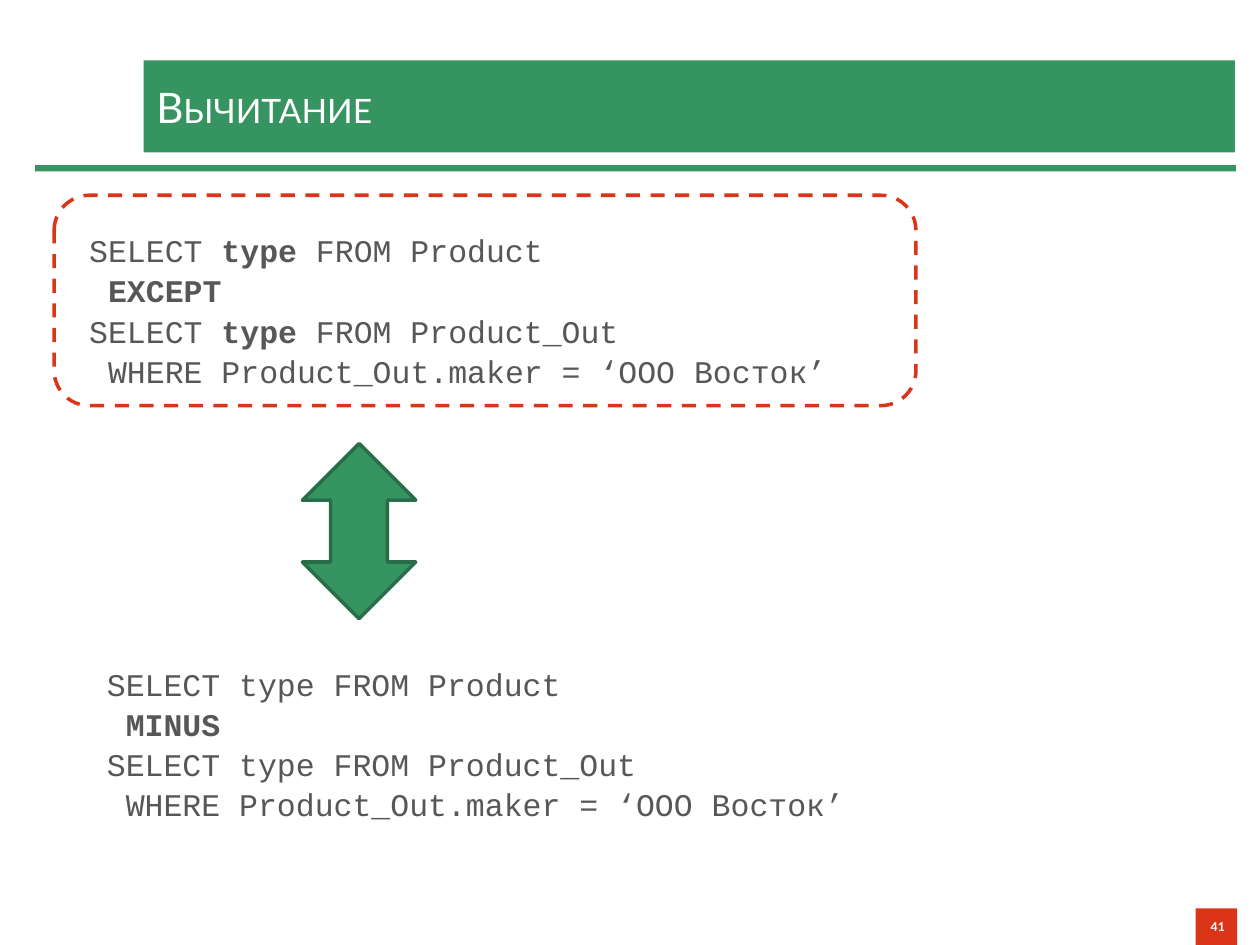
from pptx import Presentation
from pptx.dml.color import RGBColor
from pptx.enum.dml import MSO_LINE
from pptx.enum.shapes import MSO_SHAPE
from pptx.enum.text import MSO_ANCHOR, PP_ALIGN
from pptx.util import Inches, Pt

GREEN, EDGE, RED, WHITE, GREY = "369461", "286D48", "DB3519", "FFFFFF", "575756"
HEAD = {"name": "Lato", "size": Pt(24), "bold": False, "color": WHITE}
PAGE = {"name": "Lato", "size": Pt(7), "bold": True, "color": WHITE}
CODE = {"name": "Courier New", "size": Pt(18), "color": GREY}


def tint(code):
    """Turn a hex string into a colour."""
    return RGBColor.from_string(code)


def style(font, look):
    """Set the font attributes listed in a dict."""
    for key, val in look.items():
        if key == "color":
            font.color.rgb = tint(val)
        else:
            setattr(font, key, val)


class Board:
    """Holds the deck and its slide, on a grid of 100 columns by 75 rows."""

    def __init__(self):
        """Open a 10 by 7.5 inch deck with one title-only slide."""
        self.deck = Presentation()
        self.deck.slide_width, self.deck.slide_height = Inches(10), Inches(7.5)
        self.slide = self.deck.slides.add_slide(self.deck.slide_layouts[5])
        self.cell = self.deck.slide_width / 100

    def area(self, *cells):
        """Turn grid cells into lengths."""
        return [round(self.cell * n) for n in cells]

    def title(self, text, *cells):
        """Fill and place the title band."""
        band = self.slide.shapes.title
        band.left, band.top, band.width, band.height = self.area(*cells)
        band.fill.solid()
        band.fill.fore_color.rgb = tint(GREEN)
        band.text_frame.vertical_anchor = MSO_ANCHOR.MIDDLE
        para = band.text_frame.paragraphs[0]
        para.alignment = PP_ALIGN.LEFT
        run = para.add_run()
        run.text = text
        style(run.font, HEAD)
        run.font._element.set("cap", "small")

    def shape(self, kind, *cells, fill=None, line=None, dash=None):
        """Add a preset shape."""
        item = self.slide.shapes.add_shape(kind, *self.area(*cells))
        item.shadow.inherit = False
        if fill:
            item.fill.solid()
            item.fill.fore_color.rgb = tint(fill)
        else:
            item.fill.background()
        if line:
            item.line.color.rgb = tint(line)
            item.line.width = Pt(2)
            item.line.dash_style = dash
        else:
            item.line.fill.background()
        return item

    def page(self, text, *cells):
        """Add the page number tag."""
        tag = self.shape(MSO_SHAPE.RECTANGLE, *cells, fill=RED)
        tag.text_frame.vertical_anchor = MSO_ANCHOR.MIDDLE
        para = tag.text_frame.paragraphs[0]
        para.alignment = PP_ALIGN.RIGHT
        run = para.add_run()
        run.text = text
        style(run.font, PAGE)

    def code(self, lines, *cells):
        """Add code lines, with the parts between bars in bold."""
        frame = self.slide.shapes.add_textbox(*self.area(*cells)).text_frame
        frame.word_wrap = True
        for row, line in enumerate(lines):
            para = frame.add_paragraph() if row else frame.paragraphs[0]
            para.alignment = PP_ALIGN.JUSTIFY
            para.line_spacing = 1.06
            for spot, part in enumerate(line.split("|")):
                if part:
                    run = para.add_run()
                    run.text = part
                    style(run.font, {**CODE, "bold": spot % 2 == 1})


def query(verb, field):
    """List the lines of a query that joins two selects."""
    return [
        f"SELECT {field} FROM Product",
        f" |{verb}|",
        f"SELECT {field} FROM Product_Out",
        " WHERE Product_Out.maker = ‘ООО Восток’",
    ]


def main():
    """Build and save the slide."""
    board = Board()
    board.shape(MSO_SHAPE.RECTANGLE, 2.8, 13.1, 95.3, 0.5, fill=GREEN)
    board.title("Вычитание", 11.4, 4.8, 86.6, 7.3)
    board.page("41", 94.9, 72.1, 3.3, 2.9)
    board.code(query("EXCEPT", "|type|"), 6.1, 17.7, 66.7, 13.1)
    board.code(query("MINUS", "type"), 7.5, 52.1, 66.7, 13.1)
    board.shape(MSO_SHAPE.UP_DOWN_ARROW, 24, 35.2, 9, 13.9, fill=GREEN, line=EDGE)
    board.shape(MSO_SHAPE.ROUNDED_RECTANGLE, 4.3, 15.5, 68.4, 16.7,
                line=RED, dash=MSO_LINE.DASH)
    board.deck.save("out.pptx")


if __name__ == "__main__":
    main()
